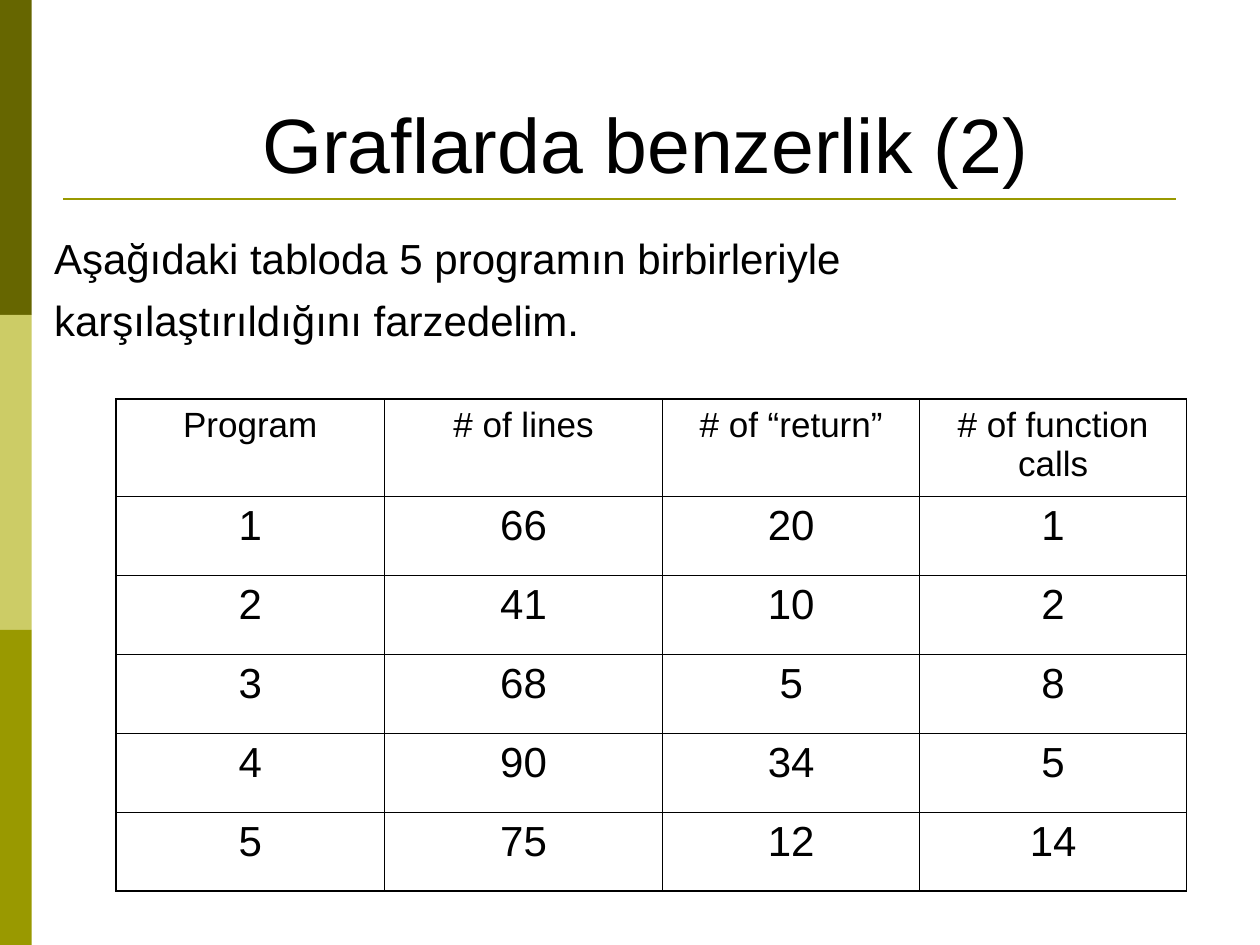
from lxml.etree import SubElement
from pptx import Presentation
from pptx.dml.color import RGBColor
from pptx.enum.shapes import MSO_CONNECTOR, MSO_SHAPE
from pptx.enum.text import MSO_ANCHOR, PP_ALIGN
from pptx.oxml.ns import qn
from pptx.util import Cm, Pt

BLACK = RGBColor(0x00, 0x00, 0x00)
DARK_OLIVE = RGBColor(0x66, 0x66, 0x00)
PALE_OLIVE = RGBColor(0xCC, 0xCC, 0x66)
OLIVE = RGBColor(0x99, 0x99, 0x00)

FONT = "Arial"
INNER, OUTER = Pt(0.45), Pt(1.08)
COL_WIDTHS = [5.41, 5.61, 5.18, 5.38]
HEADER_HEIGHT, ROW_HEIGHT = 1.96, 1.59
ROWS = [
    ["Program", "# of lines", "# of “return”", "# of function calls"],
    ["1", "66", "20", "1"],
    ["2", "41", "10", "2"],
    ["3", "68", "5", "8"],
    ["4", "90", "34", "5"],
    ["5", "75", "12", "14"],
]


def add_run(p, text, size):
    r = p.add_run()
    r.text = text
    r.font.name = FONT
    r.font.size = Pt(size)
    r.font.color.rgb = BLACK


def add_side_bands(s, x, y, w, h):
    colors = [DARK_OLIVE, PALE_OLIVE, OLIVE]
    band_h = h / len(colors)
    for i, color in enumerate(colors):
        sp = s.shapes.add_shape(
            MSO_SHAPE.RECTANGLE, Cm(x), Cm(y + i * band_h), Cm(w), Cm(band_h)
        )
        sp.shadow.inherit = False
        sp.fill.solid()
        sp.fill.fore_color.rgb = color
        sp.line.fill.background()


def add_title(s, x, y, w, h):
    tf = s.shapes.add_textbox(Cm(x), Cm(y), Cm(w), Cm(h)).text_frame
    tf.word_wrap = True
    tf.vertical_anchor = MSO_ANCHOR.BOTTOM
    p = tf.paragraphs[0]
    p.alignment = PP_ALIGN.CENTER
    add_run(p, "Graflarda benzerlik (2)", 44)

    rule_y = Cm(y + h + 0.07)
    rule = s.shapes.add_connector(
        MSO_CONNECTOR.STRAIGHT, Cm(x + 0.63), rule_y, Cm(x + w - 1.7), rule_y
    )
    rule.line.color.rgb = OLIVE
    rule.line.width = Pt(1.5)
    SubElement(rule._element.spPr, qn("a:effectLst"))


def add_body(s, x, y, w, h):
    tf = s.shapes.add_textbox(Cm(x), Cm(y), Cm(w), Cm(h)).text_frame
    tf.word_wrap = True
    tf.margin_top = Cm(0.23)
    lines = [
        "Aşağıdaki tabloda 5 programın birbirleriyle",
        "karşılaştırıldığını farzedelim.",
    ]
    for i, line in enumerate(lines):
        p = tf.add_paragraph() if i else tf.paragraphs[0]
        if i:
            p.space_before = Pt(7)
        add_run(p, line, 24)


def set_borders(cell, widths):
    tc_pr = cell._tc.get_or_add_tcPr()
    for side, width in zip("LRTB", widths):
        ln = SubElement(tc_pr, qn(f"a:ln{side}"), w=str(width))
        fill = SubElement(ln, qn("a:solidFill"))
        SubElement(fill, qn("a:srgbClr"), val=str(BLACK))


def add_program_table(s, x, y, w, h):
    n_rows, n_cols = len(ROWS), len(COL_WIDTHS)
    table = s.shapes.add_table(n_rows, n_cols, Cm(x), Cm(y), Cm(w), Cm(h)).table
    table.first_row = False
    table.horz_banding = False
    for col, width in zip(table.columns, COL_WIDTHS):
        col.width = Cm(width)
    for i, values in enumerate(ROWS):
        table.rows[i].height = Cm(ROW_HEIGHT if i else HEADER_HEIGHT)
        for j, value in enumerate(values):
            cell = table.cell(i, j)
            edges = [j == 0, j == n_cols - 1, i == 0, i == n_rows - 1]
            set_borders(cell, [OUTER if edge else INNER for edge in edges])
            cell.fill.background()
            p = cell.text_frame.paragraphs[0]
            p.alignment = PP_ALIGN.CENTER
            add_run(p, value, 24 if i else 20)


def main():
    prs = Presentation()
    prs.slide_width, prs.slide_height = Cm(25.4), Cm(19.05)
    s = prs.slides.add_slide(prs.slide_layouts[6])
    add_side_bands(s, 0, 0, 0.64, 19.05)
    add_title(s, 0.64, 0.76, 24.76, 3.18)
    add_body(s, 0.84, 4.45, 24.56, 2.54)
    table_h = HEADER_HEIGHT + ROW_HEIGHT * (len(ROWS) - 1)
    add_program_table(s, 2.34, 8.05, sum(COL_WIDTHS), table_h)
    prs.save("out.pptx")


if __name__ == "__main__":
    main()
